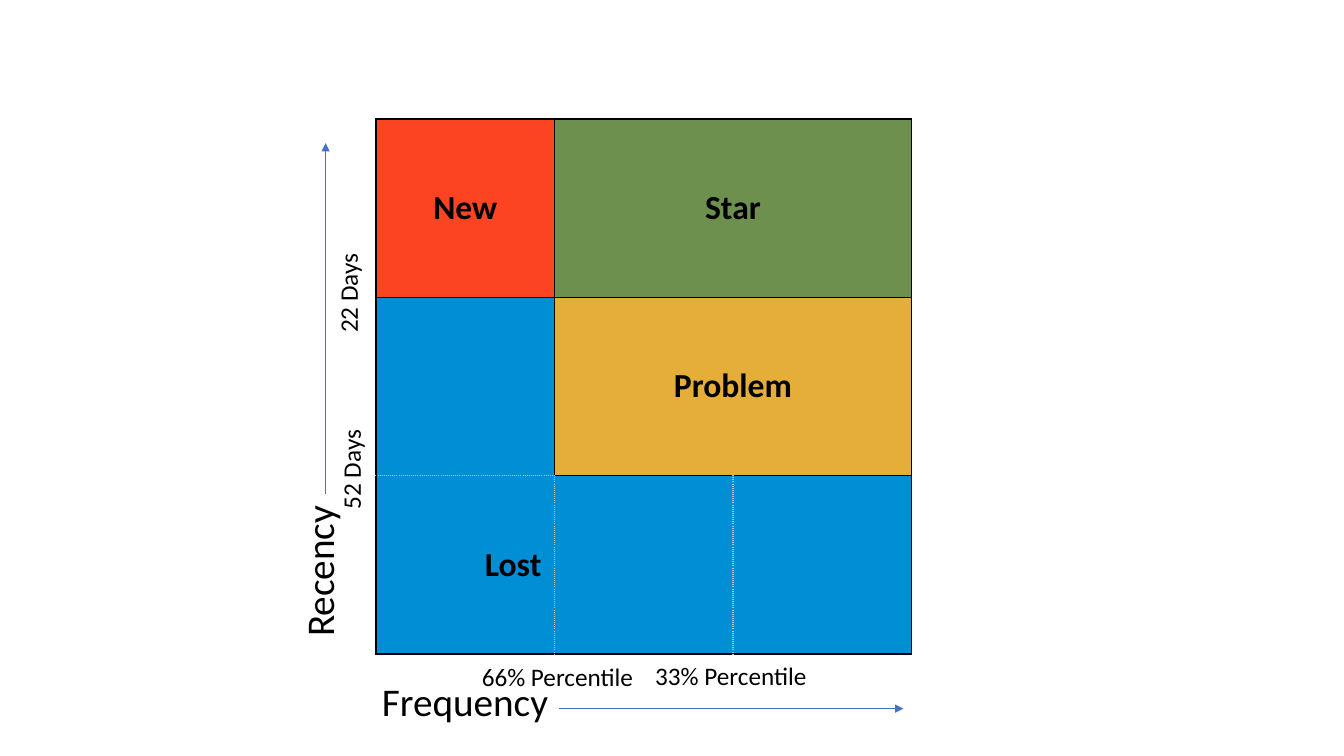
import pptx
import pptx.util
import pptx.dml.color
import pptx.enum.shapes
import pptx.enum.text
import pptx.oxml.ns
import lxml.etree

PX = 9144  # 100 px to the inch
FONT = "Calibri"
COLORS = {"red": "FC4423", "green": "6D904F", "blue": "008FD5", "deep_blue": "008ED5",
          "yellow": "E5AE38", "black": "000000", "dots": "BFBFBF", "arrow": "4472C4"}

# Segment grid: row, column, columns spanned, label, alignment, fill, dotted sides
GRID_LEFT, GRID_TOP, CELL = 373, 118, 177
SEGMENTS = [
    (0, 0, 1, "New", "CENTER", "red", ""),
    (0, 1, 2, "Star", "CENTER", "green", ""),
    (1, 0, 1, "", "CENTER", "blue", "B"),
    (1, 1, 2, "Problem", "CENTER", "yellow", ""),
    (2, 0, 1, "Lost", "RIGHT", "deep_blue", "TR"),
    (2, 1, 1, "", "CENTER", "deep_blue", "LR"),
    (2, 2, 1, "", "CENTER", "deep_blue", "L"),
]
# Labels: text, left, top, width, height, rotation, size
LABELS = [
    ("Recency", 240, 537, 152, 57, 270, 28),
    ("Frequency", 369, 667, 187, 57, 0, 28),
    ("22 Days", 295, 270, 100, 40, 270, 18),
    ("52 Days", 298, 445, 100, 40, 270, 18),
    ("33% Percentile", 640, 650, 172, 40, 0, 18),
    ("66% Percentile", 468, 651, 172, 40, 0, 18),
]
# Axis arrows: from x, from y, to x, to y
ARROWS = [(323, 490, 323, 142), (554, 703, 896, 703)]


def px(*values):
    return [pptx.util.Emu(v * PX) for v in values]


def rgb(name):
    return pptx.dml.color.RGBColor.from_string(COLORS[name])


def add_xml(parent, tag, **attrs):
    return lxml.etree.SubElement(parent, pptx.oxml.ns.qn(tag), attrs)


def write(p, text, size, bold=False):
    r = p.add_run()
    r.text = text
    font = {"name": FONT, "size": pptx.util.Pt(size), "bold": bold}
    for key, value in font.items():
        setattr(r.font, key, value)
    r.font.color.rgb = rgb("black")


def add_borders(cell, dotted):
    tc_pr = cell._tc.get_or_add_tcPr()
    for side in "LRTB":
        is_dotted = side in dotted
        ln = add_xml(tc_pr, f"a:ln{side}", w="12700")
        fill = add_xml(ln, "a:solidFill")
        add_xml(fill, "a:srgbClr", val=COLORS["dots" if is_dotted else "black"])
        add_xml(ln, "a:prstDash", val="dot" if is_dotted else "solid")


prs = pptx.Presentation()
prs.slide_width, prs.slide_height = px(1333, 750)
s = prs.slides.add_slide(prs.slide_layouts[6])

# Segment table
table = s.shapes.add_table(3, 3, *px(GRID_LEFT, GRID_TOP, 3 * CELL, 3 * CELL)).table
table.first_row = table.horz_banding = False
for column in table.columns:
    column.width = px(CELL)[0]
for row in table.rows:
    row.height = px(CELL)[0]

margins = dict(zip(("margin_left", "margin_top", "margin_right", "margin_bottom"),
                   px(13, 7, 13, 7)))
for row, col, span, label, align, color, dotted in SEGMENTS:
    first = table.cell(row, col)
    if span > 1:
        first.merge(table.cell(row, col + span - 1))
    for i in range(span):
        cell = table.cell(row, col + i)
        add_borders(cell, dotted)
        cell.fill.solid()
        cell.fill.fore_color.rgb = rgb(color)
    cell_format = {**margins, "vertical_anchor": pptx.enum.text.MSO_ANCHOR.MIDDLE}
    for key, value in cell_format.items():
        setattr(first, key, value)
    p = first.text_frame.paragraphs[0]
    p.alignment = pptx.enum.text.PP_ALIGN[align]
    if label:
        write(p, label, 24, True)

# Axis titles and thresholds
for text, left, top, width, height, rotation, size in LABELS:
    sp = s.shapes.add_textbox(*px(left, top, width, height))
    sp.rotation = rotation
    tf = sp.text_frame
    tf.word_wrap = False
    tf.auto_size = pptx.enum.text.MSO_AUTO_SIZE.SHAPE_TO_FIT_TEXT
    write(tf.paragraphs[0], text, size)

# Axis arrows
for ends in ARROWS:
    arrow = s.shapes.add_connector(pptx.enum.shapes.MSO_CONNECTOR.STRAIGHT, *px(*ends))
    arrow.line.color.rgb = rgb("arrow")
    arrow.line.width = pptx.util.Pt(0.5)
    add_xml(arrow.line._get_or_add_ln(), "a:tailEnd", type="triangle")
    add_xml(arrow._element.spPr, "a:effectLst")

prs.save("out.pptx")
